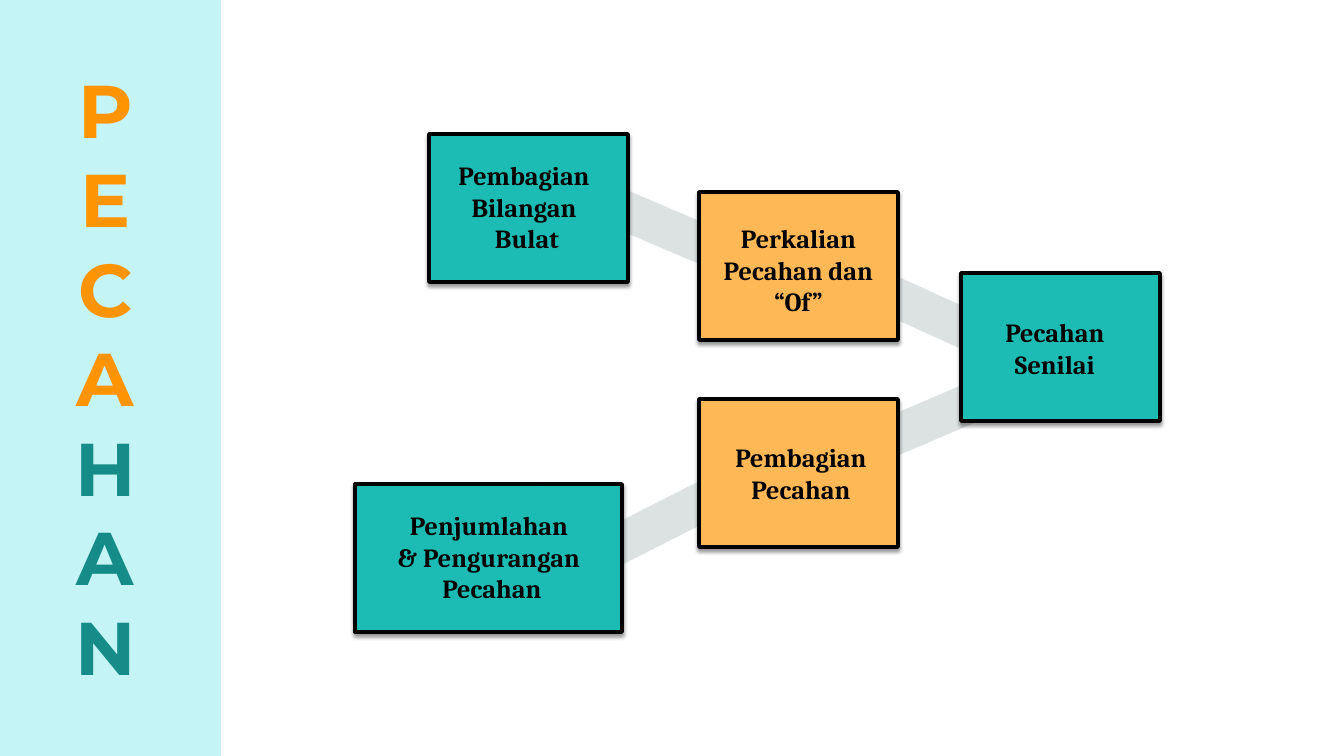
from dataclasses import dataclass

from lxml import etree
from pptx import Presentation
from pptx import util as u
from pptx.dml.color import RGBColor
from pptx.enum import shapes, text
from pptx.oxml import ns

PX = 9144000 / 1344
BOX_WIDTH, BOX_HEIGHT = 199, 148
LINK_WIDTH, LINK_HEIGHT = 141, 36


@dataclass(frozen=True)
class Theme:
    sidebar: str = "C5F4F6"
    orange: str = "FE9401"
    dark_teal: str = "158C87"
    link: str = "DCE2E2"
    teal: str = "1CBBB4"
    amber: str = "FEB856"
    black: str = "000000"
    title_font: str = "Montserrat"
    body_font: str = "Cambria"
    title_size: int = 40
    title_spacing: int = 48
    body_size: int = 14
    line_width: int = 2


THEME = Theme()

# left, top, rotation
LINKS = [
    (857, 294, 24.4),
    (590, 505, 153.1),
    (867, 399, 156.9),
    (597, 211, 23.1),
]

# left, top, width, fill, text area, paragraphs
TOPICS = [
    (429, 134, BOX_WIDTH, THEME.teal, (437, 153, 180, 109),
     ["Pembagian ", "Bilangan ", "Bulat"]),
    (699, 192, BOX_WIDTH, THEME.amber, (710, 216, 177, 109),
     ["Perkalian", "Pecahan dan “Of”"]),
    (961, 273, BOX_WIDTH, THEME.teal, (965, 310, 180, 77),
     ["Pecahan Senilai"]),
    (699, 399, BOX_WIDTH, THEME.amber, (707, 435, 188, 77),
     ["Pembagian", "Pecahan"]),
    (355, 484, 267, THEME.teal, (371, 503, 242, 109),
     ["Penjumlahan ", "& Pengurangan ", "Pecahan"]),
]


def px(*lengths):
    return [u.Emu(round(length * PX)) for length in lengths]


def add_rectangle(parent, area, fill, line, rotation=0):
    shape = parent.add_shape(shapes.MSO_SHAPE.RECTANGLE, *px(*area))
    shape.shadow.inherit = False
    shape.fill.solid()
    shape.fill.fore_color.rgb = RGBColor.from_string(fill)
    shape.line.color.rgb = RGBColor.from_string(line)
    shape.line.width = u.Pt(THEME.line_width)
    shape.rotation = rotation
    return shape


def add_drop_shadow(shape):
    effects = shape._element.spPr.find(ns.qn("a:effectLst"))
    shadow = etree.SubElement(
        effects, ns.qn("a:outerShdw"), blurRad=str(u.Pt(2)),
        dist=str(u.Pt(1.5)), dir="5400000", rotWithShape="0")
    color = etree.SubElement(shadow, ns.qn("a:srgbClr"), val=THEME.black)
    etree.SubElement(color, ns.qn("a:alpha"), val="40000")


def add_run(paragraph, words, font_name, size, color):
    run = paragraph.add_run()
    run.text = words
    run.font.name = font_name
    run.font.size = u.Pt(size)
    run.font.bold = True
    run.font.color.rgb = RGBColor.from_string(color)


def add_text_frame(parent, area, anchor):
    frame = parent.add_textbox(*px(*area)).text_frame
    frame.word_wrap = True
    frame.vertical_anchor = anchor
    return frame


def add_vertical_title(slide):
    """Stack the letters by using a box one letter wide."""
    frame = add_text_frame(slide.shapes, (50, 320, 111, 114),
                           text.MSO_ANCHOR.MIDDLE)
    paragraph = frame.paragraphs[0]
    paragraph.alignment = text.PP_ALIGN.CENTER
    paragraph.line_spacing = u.Pt(THEME.title_spacing)
    for letters, color in (("PECA", THEME.orange), ("HAN", THEME.dark_teal)):
        add_run(paragraph, letters, THEME.title_font, THEME.title_size, color)


def add_topic(slide, left, top, width, fill, text_area, lines):
    group = slide.shapes.add_group_shape().shapes
    box = add_rectangle(group, (left, top, width, BOX_HEIGHT), fill,
                        THEME.black)
    add_drop_shadow(box)
    frame = add_text_frame(group, text_area, text.MSO_ANCHOR.TOP)
    for index, line in enumerate(lines):
        paragraph = frame.add_paragraph() if index else frame.paragraphs[0]
        paragraph.alignment = text.PP_ALIGN.CENTER
        add_run(paragraph, line, THEME.body_font, THEME.body_size, THEME.black)


def main():
    presentation = Presentation()
    presentation.slide_width, presentation.slide_height = px(1344, 756)
    slide = presentation.slides.add_slide(presentation.slide_layouts[6])
    add_rectangle(slide.shapes, (0, 0, 219, 756), THEME.sidebar, THEME.sidebar)
    add_vertical_title(slide)
    for left, top, rotation in LINKS:
        add_rectangle(slide.shapes, (left, top, LINK_WIDTH, LINK_HEIGHT),
                      THEME.link, THEME.link, rotation)
    for topic in TOPICS:
        add_topic(slide, *topic)
    presentation.save("out.pptx")


if __name__ == "__main__":
    main()
